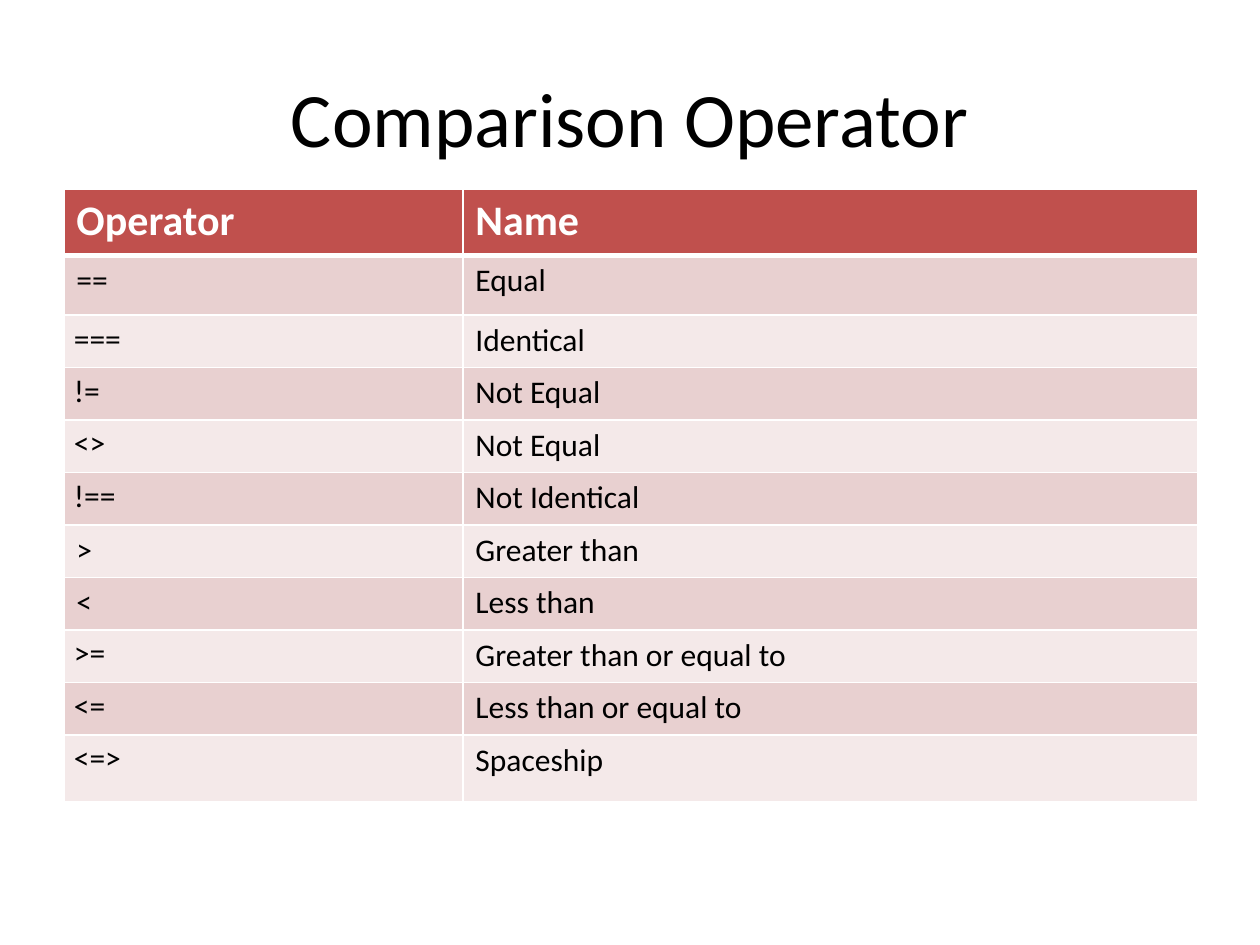
from lxml import etree
from pptx import Presentation
from pptx.dml.color import RGBColor
from pptx.enum.text import MSO_ANCHOR, PP_ALIGN
from pptx.oxml.ns import qn
from pptx.util import Pt

CENTER = PP_ALIGN.CENTER
MIDDLE = MSO_ANCHOR.MIDDLE
FONT = "Calibri"
BLACK = RGBColor(0x00, 0x00, 0x00)
WHITE = RGBColor(0xFF, 0xFF, 0xFF)
HEADER_RED = RGBColor(0xC0, 0x50, 0x4D)
BANDS = (RGBColor(0xE8, 0xD0, 0xD0), RGBColor(0xF4, 0xE9, 0xE9))

HEADINGS = ("Operator", "Name")
OPERATORS = (
    ("==", "Equal"),
    ("===", "Identical"),
    ("!=", "Not Equal"),
    ("<>", "Not Equal"),
    ("!==", "Not Identical"),
    (">", "Greater than"),
    ("<", "Less than"),
    (">=", "Greater than or equal to"),
    ("<=", "Less than or equal to"),
    ("<=>", "Spaceship"),
)
WIDE_MARGIN_OPERATORS = ("==", ">", "<")
COLUMN_WIDTHS = (228, 420)
ROW_HEIGHTS = (38, 34) + (30,) * 8 + (38,)


def add_run(paragraph, text, size, color, bold=False):
    """Add one formatted run to a paragraph."""
    run = paragraph.add_run()
    run.text = text
    run.font.name = FONT
    run.font.size = Pt(size)
    run.font.bold = bold
    run.font.color.rgb = color


def add_title(slide, text):
    """Add the centred slide title."""
    shape = slide.shapes.add_textbox(Pt(36), Pt(21.6), Pt(648), Pt(90))
    frame = shape.text_frame
    frame.word_wrap = True
    frame.vertical_anchor = MIDDLE
    paragraph = frame.paragraphs[0]
    paragraph.alignment = CENTER
    add_run(paragraph, text, 44, BLACK)


def set_borders(cell, top=1, bottom=1):
    """Draw white borders of the given widths around a cell."""
    properties = cell._tc.get_or_add_tcPr()
    sides = (("L", 1), ("R", 1), ("T", top), ("B", bottom))
    for index, (side, width) in enumerate(sides):
        line = etree.Element(qn(f"a:ln{side}"), w=str(Pt(width)))
        fill = etree.SubElement(line, qn("a:solidFill"))
        etree.SubElement(fill, qn("a:srgbClr"), val=str(WHITE))
        properties.insert(index, line)


def fill_cell(cell, text, size, text_color, fill_color, bold=False):
    """Write a cell's text and colour its background."""
    add_run(cell.text_frame.paragraphs[0], text, size, text_color, bold)
    cell.fill.solid()
    cell.fill.fore_color.rgb = fill_color


def tighten_margins(cell):
    """Give an operator cell its narrower margins."""
    cell.margin_left = Pt(5.7)
    cell.margin_right = cell.margin_top = cell.margin_bottom = Pt(2.9)


def add_operator_table(slide):
    """Add the table with a header row and banded operator rows."""
    frame = slide.shapes.add_table(
        len(ROW_HEIGHTS), len(COLUMN_WIDTHS), Pt(36.5), Pt(108),
        Pt(sum(COLUMN_WIDTHS)), Pt(sum(ROW_HEIGHTS)))
    table = frame.table
    for column, width in zip(table.columns, COLUMN_WIDTHS):
        column.width = Pt(width)
    for row, height in zip(table.rows, ROW_HEIGHTS):
        row.height = Pt(height)
    for column, heading in enumerate(HEADINGS):
        cell = table.cell(0, column)
        fill_cell(cell, heading, 24, WHITE, HEADER_RED, bold=True)
        set_borders(cell, bottom=3)
    for row, entry in enumerate(OPERATORS, start=1):
        for column, text in enumerate(entry):
            cell = table.cell(row, column)
            fill_cell(cell, text, 18, BLACK, BANDS[(row - 1) % 2])
            set_borders(cell, top=3 if row == 1 else 1)
        if entry[0] not in WIDE_MARGIN_OPERATORS:
            tighten_margins(table.cell(row, 0))


def main():
    """Build the slide and save the presentation."""
    presentation = Presentation()
    presentation.slide_width = Pt(720)
    presentation.slide_height = Pt(540)
    slide = presentation.slides.add_slide(presentation.slide_layouts[6])
    add_title(slide, "Comparison Operator")
    add_operator_table(slide)
    presentation.save("out.pptx")


if __name__ == "__main__":
    main()
